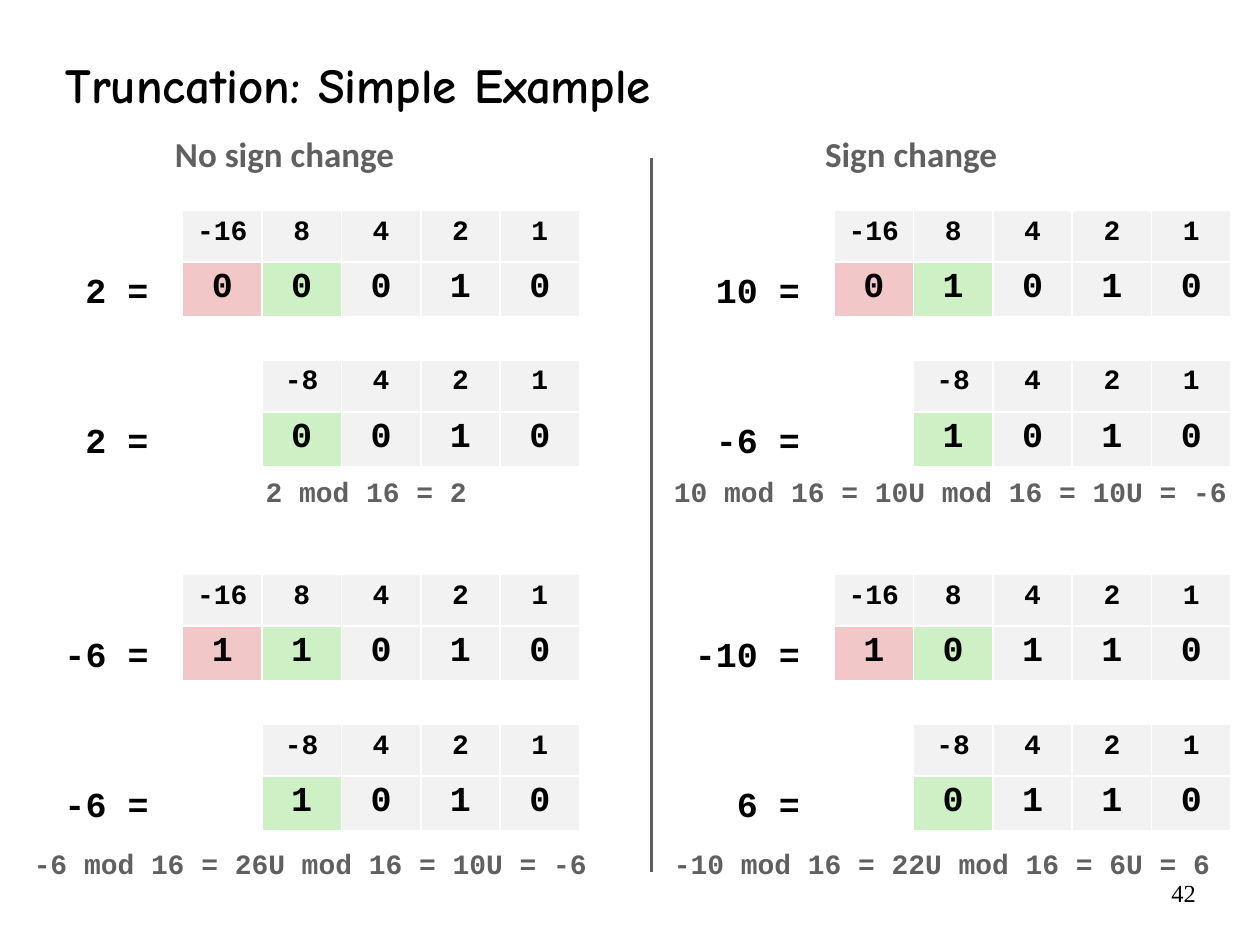
"""Build the truncation slide: bit tables with and without a sign change."""
from dataclasses import dataclass

from lxml import etree
from pptx import Presentation
from pptx import util as u
from pptx.dml.color import RGBColor
from pptx.enum import shapes, text
from pptx.oxml import ns

COLORS = {"ink": "000000", "muted": "606060", "cell": "F2F2F2", "dropped": "F1C7C7",
          "sign": "CDF1C5", "blank": "FFFFFF"}
MONO = "Courier New"
COLUMN, HEADER_ROW, BIT_ROW = 0.63, 0.41, 0.43
PANEL_PITCH, TABLE_LEFT = 5.17, 1.45
CASE_TOPS, FORMULA_TOPS, TRUNCATED_DROP = (1.67, 4.56), (3.72, 6.67), 1.19
WEIGHTS = ("-16", "8", "4", "2", "1")
SHORT_WEIGHTS = ("", "-8", "4", "2", "1")


@dataclass
class Case:
    before: str
    bits: str
    after: str
    formula: str
    formula_left: float


@dataclass
class Panel:
    heading: str
    heading_left: float
    heading_width: float
    cases: tuple[Case, ...]


PANELS = (
    Panel("No sign change", 1.29, 2.31, (
        Case("2 =", "00010", "2 =", "2 mod 16 = 2", 2.01),
        Case("-6 =", "11010", "-6 =", "-6 mod 16 = 26U mod 16 = 10U = -6", 0.17))),
    Panel("Sign change", 6.45, 1.85, (
        Case("10 =", "01010", "-6 =", "10 mod 16 = 10U mod 16 = 10U = -6", 5.25),
        Case("-10 =", "10110", " 6 =", "-10 mod 16 = 22U mod 16 = 6U = 6", 5.25))),
)


def add_run(paragraph, wording: str, size: float, font: str = MONO,
            color: str = "ink", bold: bool = True) -> None:
    run = paragraph.add_run()
    run.text = wording
    run.font.size, run.font.name, run.font.bold = u.Pt(size), font, bold
    run.font.color.rgb = RGBColor.from_string(COLORS[color])


def add_label(slide, wording: str, left: float, top: float, width: float, height: float,
              size: float, align=text.PP_ALIGN.LEFT, **style) -> None:
    frame = slide.shapes.add_textbox(*map(u.Inches, (left, top, width, height))).text_frame
    frame.word_wrap = True
    frame.paragraphs[0].alignment = align
    add_run(frame.paragraphs[0], wording, size, **style)


def outline_cell(cell) -> None:
    properties = cell._tc.get_or_add_tcPr()
    for side in ("a:lnL", "a:lnR", "a:lnT", "a:lnB"):
        border = etree.SubElement(properties, ns.qn(side), w=str(u.Pt(1)))
        fill = etree.SubElement(border, ns.qn("a:solidFill"))
        etree.SubElement(fill, ns.qn("a:srgbClr"), val=COLORS["blank"])


def add_bits(slide, weights: tuple[str, ...], bits: str, left: float, top: float) -> None:
    table = slide.shapes.add_table(
        2, len(weights), *map(u.Inches, (left, top, COLUMN * len(weights),
                                        HEADER_ROW + BIT_ROW))).table
    for row, height in zip(table.rows, (HEADER_ROW, BIT_ROW)):
        row.height = u.Inches(height)
    bit_fills = ("dropped", "sign") + ("cell",) * 3
    for column, (weight, bit) in enumerate(zip(weights, bits)):
        table.columns[column].width = u.Inches(COLUMN)
        entries = ((weight, 16, "cell"), (bit, 20, bit_fills[column]))
        for row, (wording, size, fill) in enumerate(entries):
            cell = table.cell(row, column)
            outline_cell(cell)
            cell.fill.solid()
            cell.fill.fore_color.rgb = RGBColor.from_string(COLORS[fill if weight else "blank"])
            if weight:
                paragraph = cell.text_frame.paragraphs[0]
                paragraph.alignment = text.PP_ALIGN.CENTER
                add_run(paragraph, wording, size)


def add_number(slide, value: str, weights: tuple[str, ...], bits: str,
               left: float, top: float) -> None:
    width = 0.38 + len(value) / 6
    add_label(slide, value, left + 0.01 - width, top + HEADER_ROW, width, 0.44, 20)
    add_bits(slide, weights, bits, left, top)


def add_panel(slide, panel: Panel, left: float) -> None:
    add_label(slide, panel.heading, panel.heading_left, 1, panel.heading_width, 0.5, 20,
              font="Calibri", color="muted")
    for case, top, formula_top in zip(panel.cases, CASE_TOPS, FORMULA_TOPS):
        add_number(slide, case.before, WEIGHTS, case.bits, left, top)
        add_number(slide, case.after, SHORT_WEIGHTS, case.bits, left, top + TRUNCATED_DROP)
        add_label(slide, case.formula, case.formula_left, formula_top,
                  0.26 + len(case.formula) * 2 / 15, 0.37, 16, color="muted")


def add_title(slide) -> None:
    title = slide.shapes.title
    title.left, title.top, title.width, title.height = map(u.Inches, (0.42, 0.35, 9.58, 0.63))
    title.text_frame.vertical_anchor = text.MSO_ANCHOR.MIDDLE
    title.text_frame.paragraphs[0].alignment = text.PP_ALIGN.LEFT
    add_run(title.text_frame.paragraphs[0], "Truncation: Simple Example", 28, "Comic Neue")


def add_divider(slide) -> None:
    divider = slide.shapes.add_connector(
        shapes.MSO_CONNECTOR.STRAIGHT,
        *map(u.Inches, (PANEL_PITCH, 1.25, PANEL_PITCH, 6.92)))
    divider.line.color.rgb = RGBColor.from_string(COLORS["muted"])
    divider.line.width = u.Pt(2)
    etree.SubElement(divider._element.spPr, ns.qn("a:effectLst"))


def main() -> None:
    deck = Presentation()
    deck.slide_width, deck.slide_height = u.Inches(10), u.Inches(7.5)
    slide = deck.slides.add_slide(deck.slide_layouts[5])
    add_title(slide)
    for index, panel in enumerate(PANELS):
        add_panel(slide, panel, TABLE_LEFT + index * PANEL_PITCH)
    add_divider(slide)
    add_label(slide, "42", 8.17, 6.92, 1.42, 0.33, 14, align=text.PP_ALIGN.RIGHT,
              font="Times New Roman", bold=False)
    deck.save("out.pptx")


if __name__ == "__main__":
    main()
